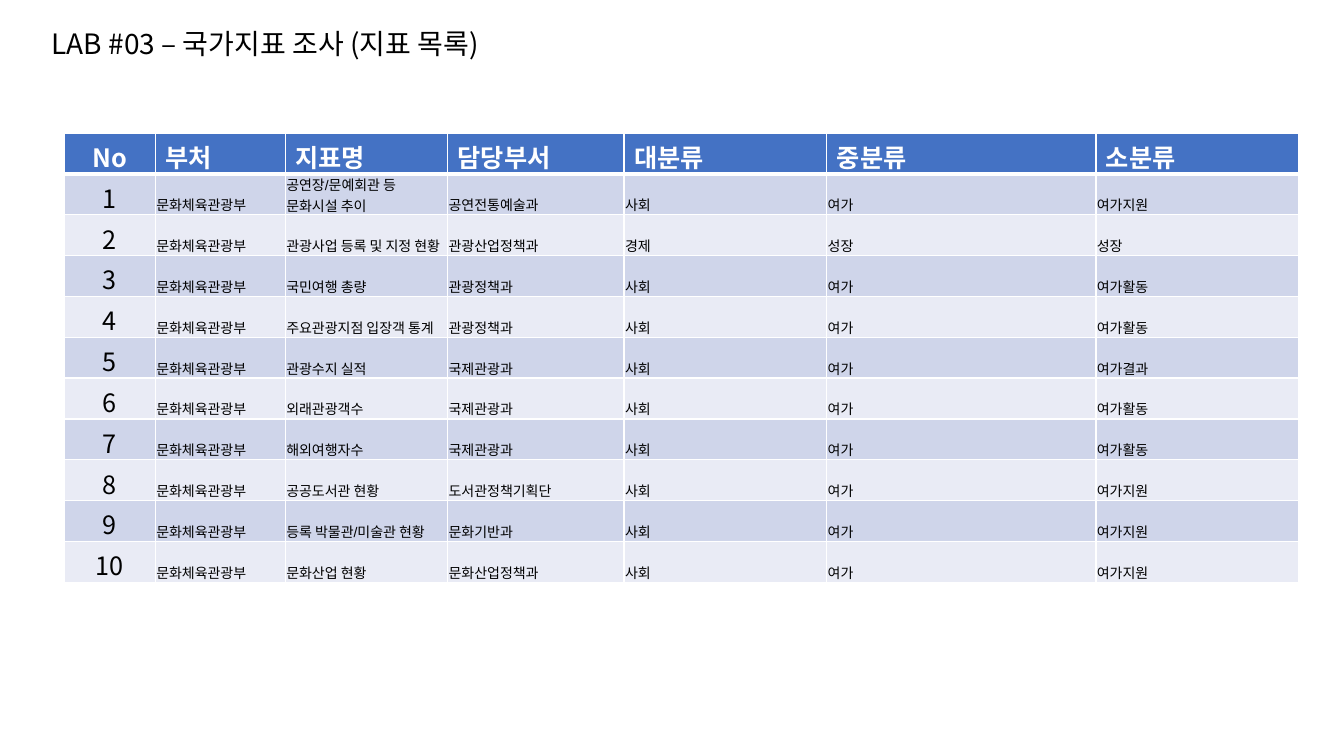
from dataclasses import dataclass

from lxml import etree
from pptx import Presentation
from pptx import util as u
from pptx.dml.color import RGBColor
from pptx.enum import text
from pptx.oxml.ns import qn


@dataclass
class Theme:
    """Colours, fonts and type sizes."""
    ink: str = "000000"
    white: str = "FFFFFF"
    head: str = "4472C4"
    bands: tuple = ("CFD5EA", "E9EBF5")
    sans: str = "Noto Sans CJK KR"
    small: str = "Arial"
    title: int = 20
    large: int = 18
    body: int = 10


class Deck:
    """Draws elements on the current slide in one style."""

    def __init__(self, theme):
        self.theme = theme
        self.prs = Presentation()
        self.prs.slide_width = u.Inches(13.33)
        self.prs.slide_height = u.Inches(7.5)
        self.slide = self.prs.slides.add_slide(self.prs.slide_layouts[5])

    def style(self, para, size, face, ink, bold=False):
        """Format every run of a paragraph."""
        for run in para.runs:
            font = run.font
            font.size = u.Pt(size)
            font.name = face
            font.bold = bold
            font.color.rgb = RGBColor.from_string(ink)
            east = etree.SubElement(run._r.get_or_add_rPr(), qn("a:ea"))
            east.set("typeface", self.theme.sans)

    def title(self, words, left, top, width, height):
        """Place and format the slide title."""
        box = self.slide.shapes.title
        box.left, box.top = u.Inches(left), u.Inches(top)
        box.width, box.height = u.Inches(width), u.Inches(height)
        frame = box.text_frame
        frame.text = words
        frame.word_wrap = True
        frame.auto_size = text.MSO_AUTO_SIZE.SHAPE_TO_FIT_TEXT
        frame.vertical_anchor = text.MSO_ANCHOR.TOP
        para = frame.paragraphs[0]
        para.alignment = text.PP_ALIGN.LEFT
        self.style(para, self.theme.title, self.theme.sans, self.theme.ink)

    def border(self, cell, widths):
        """Draw white left, right, top and bottom cell borders."""
        props = cell._tc.get_or_add_tcPr()
        for i, (side, width) in enumerate(zip("LRTB", widths)):
            line = etree.Element(qn(f"a:ln{side}"), w=str(u.Pt(width)))
            fill = etree.SubElement(line, qn("a:solidFill"))
            etree.SubElement(fill, qn("a:srgbClr"), val=self.theme.white)
            props.insert(i, line)

    def cell(self, cell, words, row, col):
        """Fill and format one table cell by its row and column."""
        look = self.theme
        head = row == 0
        cell.text = words
        para = cell.text_frame.paragraphs[0]
        cell.fill.solid()
        tint = look.head if head else look.bands[(row - 1) % 2]
        cell.fill.fore_color.rgb = RGBColor.from_string(tint)
        self.border(cell, (1, 1, 3 if row == 1 else 1, 3 if head else 1))
        if col == 0:
            para.alignment = text.PP_ALIGN.CENTER
        if head or col == 0:
            ink = look.white if head else look.ink
            self.style(para, look.large, look.sans, ink, head)
        else:
            cell.vertical_anchor = text.MSO_ANCHOR.BOTTOM
            cell.margin_left = cell.margin_right = u.Inches(0.01)
            cell.margin_top, cell.margin_bottom = u.Inches(0.01), 0
            self.style(para, look.body, look.small, look.ink)

    def table(self, rows, widths, left, top, height):
        """Add a banded table with equal row heights."""
        grid = self.slide.shapes.add_table(
            len(rows), len(widths), u.Inches(left), u.Inches(top),
            u.Inches(sum(widths)), u.Inches(height)).table
        for col, width in zip(grid.columns, widths):
            col.width = u.Inches(width)
        for r, row in enumerate(rows):
            for c, words in enumerate(row):
                self.cell(grid.cell(r, c), words, r, c)


HEAD = ("No", "부처", "지표명", "담당부서", "대분류", "중분류", "소분류")
ITEMS = (
    ("공연장/문예회관 등 문화시설 추이", "공연전통예술과", "사회", "여가", "여가지원"),
    ("관광사업 등록 및 지정 현황", "관광산업정책과", "경제", "성장", "성장"),
    ("국민여행 총량", "관광정책과", "사회", "여가", "여가활동"),
    ("주요관광지점 입장객 통계", "관광정책과", "사회", "여가", "여가활동"),
    ("관광수지 실적", "국제관광과", "사회", "여가", "여가결과"),
    ("외래관광객수", "국제관광과", "사회", "여가", "여가활동"),
    ("해외여행자수", "국제관광과", "사회", "여가", "여가활동"),
    ("공공도서관 현황", "도서관정책기획단", "사회", "여가", "여가지원"),
    ("등록 박물관/미술관 현황", "문화기반과", "사회", "여가", "여가지원"),
    ("문화산업 현황", "문화산업정책과", "사회", "여가", "여가지원"),
)
WIDTHS = (0.9, 1.29, 1.61, 1.75, 2.01, 2.67, 2.01)


def main():
    """Build and save the slide."""
    deck = Deck(Theme())
    deck.title("LAB #03 – 국가지표 조사 (지표 목록)", 0.41, 0.21, 5.05, 0.44)
    rows = [HEAD]
    for n, item in enumerate(ITEMS, 1):
        rows.append((str(n), "문화체육관광부", *item))
    deck.table(rows, WIDTHS, 0.64, 1.32, 4.46)
    deck.prs.save("out.pptx")


if __name__ == "__main__":
    main()
